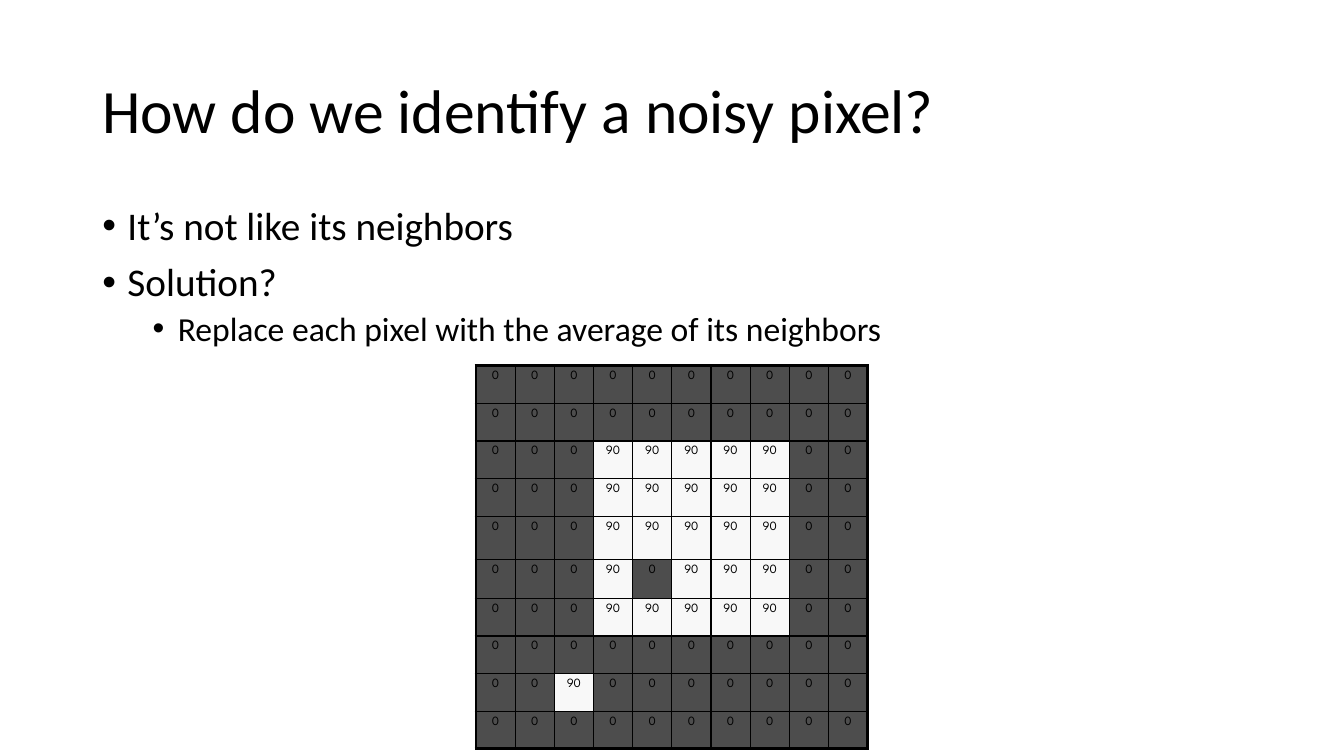
from dataclasses import dataclass

from lxml.etree import SubElement
from pptx import Presentation
from pptx.dml.color import RGBColor
from pptx.enum.text import MSO_ANCHOR as Anchor, PP_ALIGN as Align
from pptx.oxml.ns import qn
from pptx.slide import Slide
from pptx.table import _Cell as Cell
from pptx.text.text import TextFrame, _Paragraph as Paragraph
from pptx.util import Pt

BLACK = RGBColor(0x00, 0x00, 0x00)
DARK = RGBColor(0x4D, 0x4D, 0x4D)
BRIGHT = RGBColor(0xF8, 0xF8, 0xF8)
TEXT_FONT = "Calibri"
PIXEL_FONT = "League Spartan"

GRID_SIZE = 10
COLUMN_WIDTH = 28
ROW_HEIGHTS = [26.9] * 4 + [30.7, 28] + [26.9] * 4
THIN, THICK = 1, 2.25

# Row and column positions of the bright square, its hole and the stray pixel
SQUARE_ROWS = range(2, 7)
SQUARE_COLUMNS = range(3, 8)
HOLE = (5, 4)
STRAY = (8, 2)


@dataclass(frozen=True)
class Box:
    left: float
    top: float
    width: float
    height: float

    def lengths(self) -> tuple[Pt, Pt, Pt, Pt]:
        return Pt(self.left), Pt(self.top), Pt(self.width), Pt(self.height)


@dataclass(frozen=True)
class Point:
    text: str
    level: int = 0
    size: float = 28
    space_before: float = 10


TITLE_BOX = Box(66, 28.8, 828, 104.4)
POINTS_BOX = Box(66, 144, 576, 342.7)
GRID_BOX = Box(340, 261.2, GRID_SIZE * COLUMN_WIDTH, sum(ROW_HEIGHTS))

POINTS = [
    Point("It’s not like its neighbors", space_before=0),
    Point("Solution?"),
    Point("Replace each pixel with the average of its neighbors", 1, 24, 5),
]


def add_text_frame(slide: Slide, box: Box, anchor: Anchor) -> TextFrame:
    frame = slide.shapes.add_textbox(*box.lengths()).text_frame
    frame.word_wrap = True
    frame.vertical_anchor = anchor
    return frame


def write(paragraph: Paragraph, text: str, size: float, font: str) -> None:
    paragraph.text = text
    for run in paragraph.runs:
        run.font.name = font
        run.font.size = Pt(size)
        run.font.color.rgb = BLACK


def add_bullet(paragraph: Paragraph, level: int) -> None:
    paragraph.level = level
    properties = paragraph._p.get_or_add_pPr()
    properties.set("marL", str(Pt(18 + 36 * level)))
    properties.set("indent", str(Pt(-18)))
    SubElement(properties, qn("a:buFont"), typeface="Arial")
    SubElement(properties, qn("a:buChar"), char="•")


def add_title(slide: Slide) -> None:
    title = add_text_frame(slide, TITLE_BOX, Anchor.MIDDLE).paragraphs[0]
    write(title, "How do we identify a noisy pixel?", 44, TEXT_FONT)
    title.line_spacing = 0.9


def add_points(slide: Slide) -> None:
    frame = add_text_frame(slide, POINTS_BOX, Anchor.TOP)
    for index, point in enumerate(POINTS):
        paragraph = frame.add_paragraph() if index else frame.paragraphs[0]
        add_bullet(paragraph, point.level)
        write(paragraph, point.text, point.size, TEXT_FONT)
        paragraph.line_spacing = 0.9
        paragraph.space_before = Pt(point.space_before)


def pixel_value(row: int, column: int) -> int:
    in_square = row in SQUARE_ROWS and column in SQUARE_COLUMNS
    is_bright = in_square and (row, column) != HOLE
    return 90 if is_bright or (row, column) == STRAY else 0


def add_borders(cell: Cell, row: int, column: int) -> None:
    """Draw thin lines between pixels and a thick frame around the grid."""
    last = GRID_SIZE - 1
    on_frame = {
        "a:lnL": column == 0,
        "a:lnR": column == last,
        "a:lnT": row == 0,
        "a:lnB": row == last,
    }
    properties = cell._tc.get_or_add_tcPr()
    for side, thick in on_frame.items():
        width = Pt(THICK if thick else THIN)
        line = SubElement(properties, qn(side), w=str(width))
        fill = SubElement(line, qn("a:solidFill"))
        SubElement(fill, qn("a:srgbClr"), val=str(BLACK))


def fill_pixel(cell: Cell, row: int, column: int) -> None:
    value = pixel_value(row, column)
    add_borders(cell, row, column)
    cell.fill.solid()
    cell.fill.fore_color.rgb = BRIGHT if value else DARK
    cell.margin_left = cell.margin_right = Pt(0)
    cell.margin_top = cell.margin_bottom = Pt(3.6)
    number = cell.text_frame.paragraphs[0]
    write(number, str(value), 9, PIXEL_FONT)
    number.alignment = Align.CENTER


def add_pixel_grid(slide: Slide) -> None:
    frame = slide.shapes.add_table(GRID_SIZE, GRID_SIZE, *GRID_BOX.lengths())
    grid = frame.table
    grid.first_row = grid.horz_banding = False
    for column in grid.columns:
        column.width = Pt(COLUMN_WIDTH)
    for row, height in enumerate(ROW_HEIGHTS):
        grid.rows[row].height = Pt(height)
        for column in range(GRID_SIZE):
            fill_pixel(grid.cell(row, column), row, column)


def main() -> None:
    deck = Presentation()
    deck.slide_width, deck.slide_height = Pt(960), Pt(540)
    slide = deck.slides.add_slide(deck.slide_layouts[6])
    add_title(slide)
    add_points(slide)
    add_pixel_grid(slide)
    deck.save("out.pptx")


if __name__ == "__main__":
    main()
